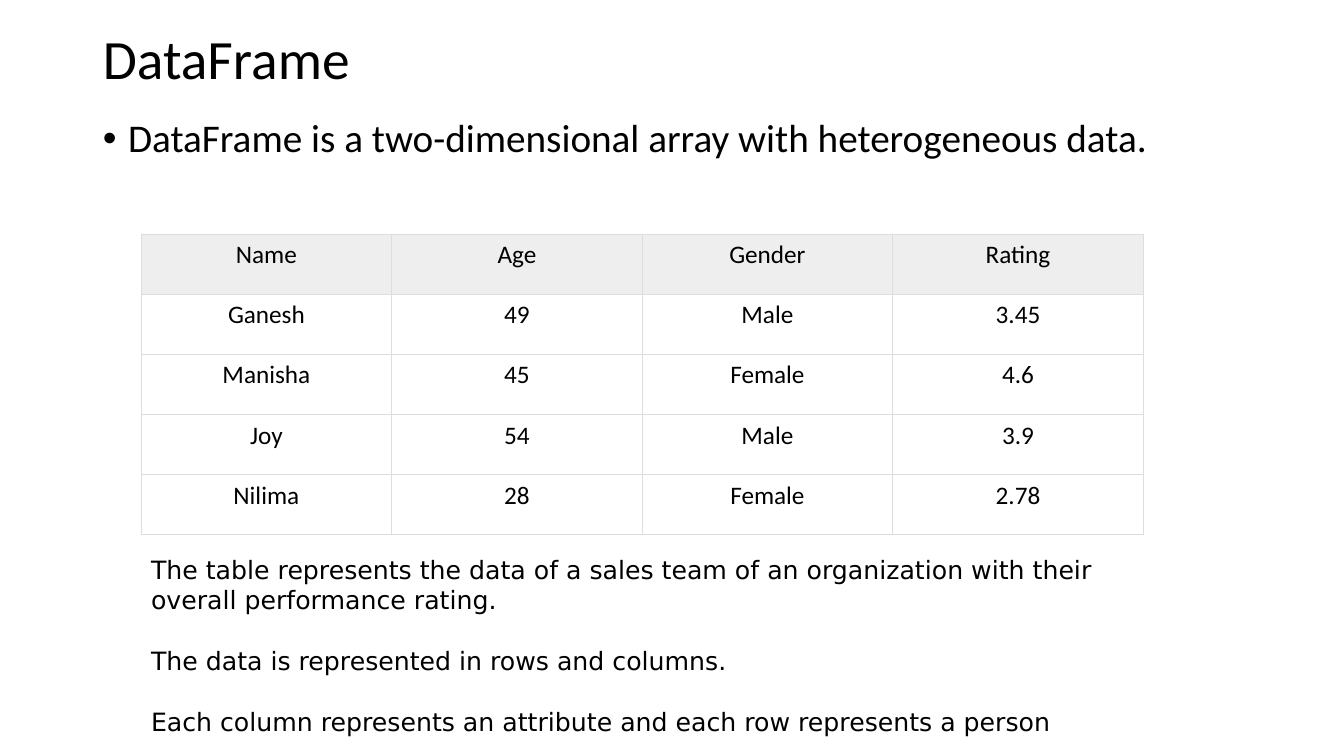
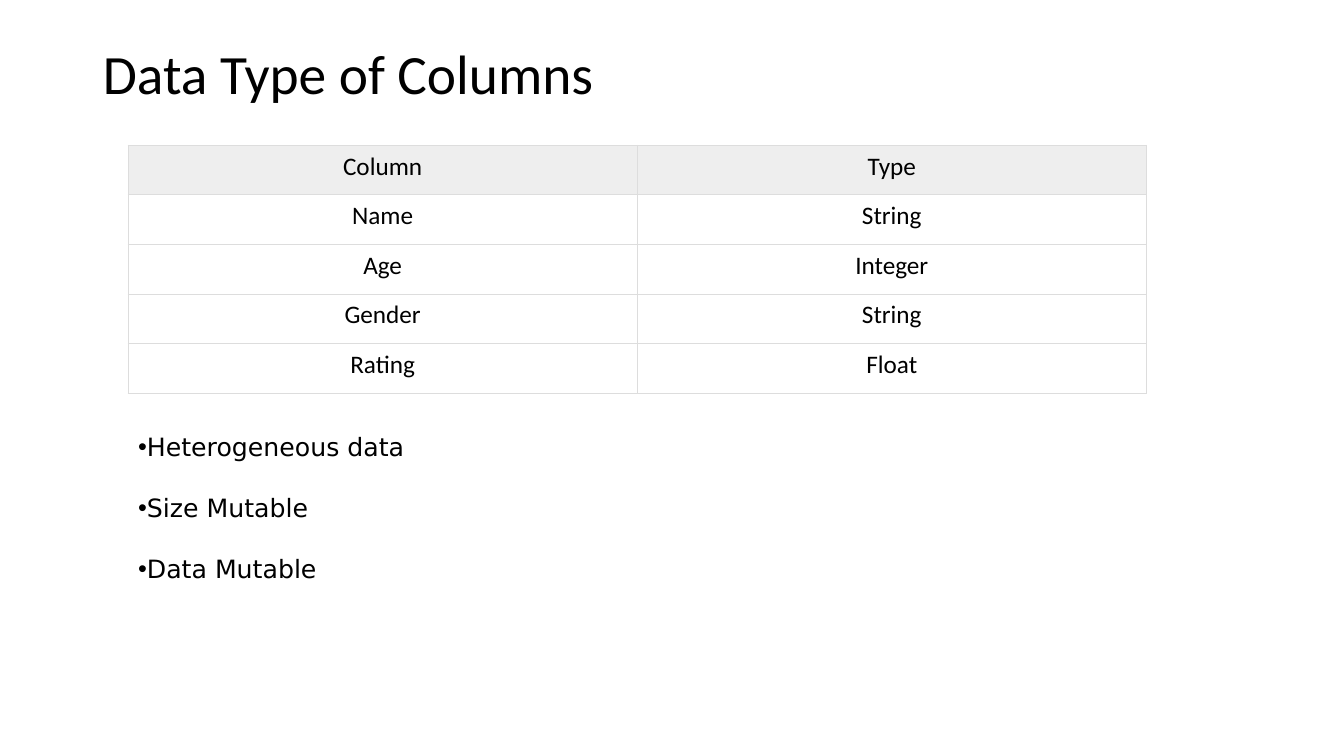
"""Builds two slides about the DataFrame and its column types."""
from lxml import etree
from pptx import Presentation
from pptx import util as u
from pptx.dml import color
from pptx.enum import text
from pptx.oxml import ns

COLORS = {"text": "000000", "header": "EEEEEE", "border": "DDDDDD"}
HEADING_FONT = "Calibri"
NOTE_FONT = "DejaVu Sans"
PEOPLE = [
    ("Name", "Age", "Gender", "Rating"),
    ("Ganesh", "49", "Male", "3.45"),
    ("Manisha", "45", "Female", "4.6"),
    ("Joy", "54", "Male", "3.9"),
    ("Nilima", "28", "Female", "2.78"),
]
COLUMN_TYPES = [
    ("Column", "Type"),
    ("Name", "String"),
    ("Age", "Integer"),
    ("Gender", "String"),
    ("Rating", "Float"),
]
NOTES = [
    "The table represents the data of a sales team of an organization with "
    "their overall performance rating.",
    "The data is represented in rows and columns.",
    "Each column represents an attribute and each row represents a person",
]
FEATURES = ["Heterogeneous data", "Size Mutable", "Data Mutable"]


def rgb(name):
    return color.RGBColor.from_string(COLORS[name])


def place(shape, left, top, width, height):
    shape.left, shape.top = u.Inches(left), u.Inches(top)
    shape.width, shape.height = u.Inches(width), u.Inches(height)


def add_run(paragraph, words, size, font):
    run = paragraph.add_run()
    run.text = words
    run.font.size = u.Pt(size)
    run.font.name = font
    run.font.color.rgb = rgb("text")


def set_bullet(paragraph, indent):
    properties = paragraph._p.get_or_add_pPr()
    properties.set("marL", str(u.Inches(indent)))
    properties.set("indent", str(-u.Inches(indent)))
    etree.SubElement(properties, ns.qn("a:buChar")).set("char", "•")


def write_paragraphs(frame, lines, size, font, before=0, after=0,
                     spacing=1.0, bullet_indent=None):
    frame.word_wrap = True
    frame.auto_size = text.MSO_AUTO_SIZE.NONE
    for index, line in enumerate(lines):
        paragraph = frame.add_paragraph() if index else frame.paragraphs[0]
        paragraph.alignment = text.PP_ALIGN.LEFT
        paragraph.line_spacing = spacing
        paragraph.space_before = u.Pt(before)
        paragraph.space_after = u.Pt(after)
        if bullet_indent is not None:
            set_bullet(paragraph, bullet_indent)
        add_run(paragraph, line, size, font)


def add_titled_slide(presentation, title, title_top):
    slide = presentation.slides.add_slide(presentation.slide_layouts[1])
    shape = slide.shapes.title
    place(shape, 0.92, title_top, 11.5, 0.71)
    shape.text_frame.vertical_anchor = text.MSO_ANCHOR.MIDDLE
    write_paragraphs(shape.text_frame, [title], 39.6, HEADING_FONT, spacing=0.9)
    return slide


def set_borders(cell):
    properties = cell._tc.get_or_add_tcPr()
    for side in ("lnL", "lnR", "lnT", "lnB"):
        line = etree.SubElement(properties, ns.qn(f"a:{side}"), w=str(u.Pt(0.5)))
        fill = etree.SubElement(line, ns.qn("a:solidFill"))
        etree.SubElement(fill, ns.qn("a:srgbClr"), val=COLORS["border"])


def format_cell(cell, words, is_header):
    cell.margin_left = cell.margin_right = u.Inches(0.06)
    cell.margin_top = cell.margin_bottom = u.Inches(0.06)
    set_borders(cell)
    if is_header:
        cell.fill.solid()
        cell.fill.fore_color.rgb = rgb("header")
    else:
        cell.fill.background()
    paragraph = cell.text_frame.paragraphs[0]
    paragraph.alignment = text.PP_ALIGN.CENTER
    add_run(paragraph, words, 18, HEADING_FONT)


def add_data_table(slide, rows, left, top, width, height):
    table = slide.shapes.add_table(
        len(rows), len(rows[0]), u.Inches(left), u.Inches(top),
        u.Inches(width), u.Inches(height)).table
    table.horz_banding = False
    for row_index, row in enumerate(rows):
        for column_index, words in enumerate(row):
            format_cell(table.cell(row_index, column_index), words, row_index == 0)


def build_dataframe_slide(presentation):
    slide = add_titled_slide(presentation, "DataFrame", 0.26)
    body = slide.placeholders[1]
    place(body, 0.92, 1.13, 11.5, 6.19)
    write_paragraphs(
        body.text_frame,
        ["DataFrame is a two-dimensional array with heterogeneous data."],
        28, HEADING_FONT, before=10, spacing=0.9, bullet_indent=0.25)
    add_data_table(slide, PEOPLE, 1.4, 2.32, 9.94, 2.98)
    notes = slide.shapes.add_textbox(
        u.Inches(1.4), u.Inches(5.45), u.Inches(9.94), u.Inches(1.92))
    write_paragraphs(notes.text_frame, NOTES, 18, NOTE_FONT, after=22)


def build_types_slide(presentation):
    slide = add_titled_slide(presentation, "Data Type of Columns", 0.4)
    add_data_table(slide, COLUMN_TYPES, 1.27, 1.44, 10.1, 2.46)
    features = slide.placeholders[1]
    place(features, 1.27, 4.23, 10.1, 1.92)
    write_paragraphs(features.text_frame, FEATURES, 18, NOTE_FONT,
                     after=22, bullet_indent=0)


def main():
    presentation = Presentation()
    presentation.slide_width = u.Inches(13.33)
    presentation.slide_height = u.Inches(7.5)
    build_dataframe_slide(presentation)
    build_types_slide(presentation)
    presentation.save("out.pptx")


main()
